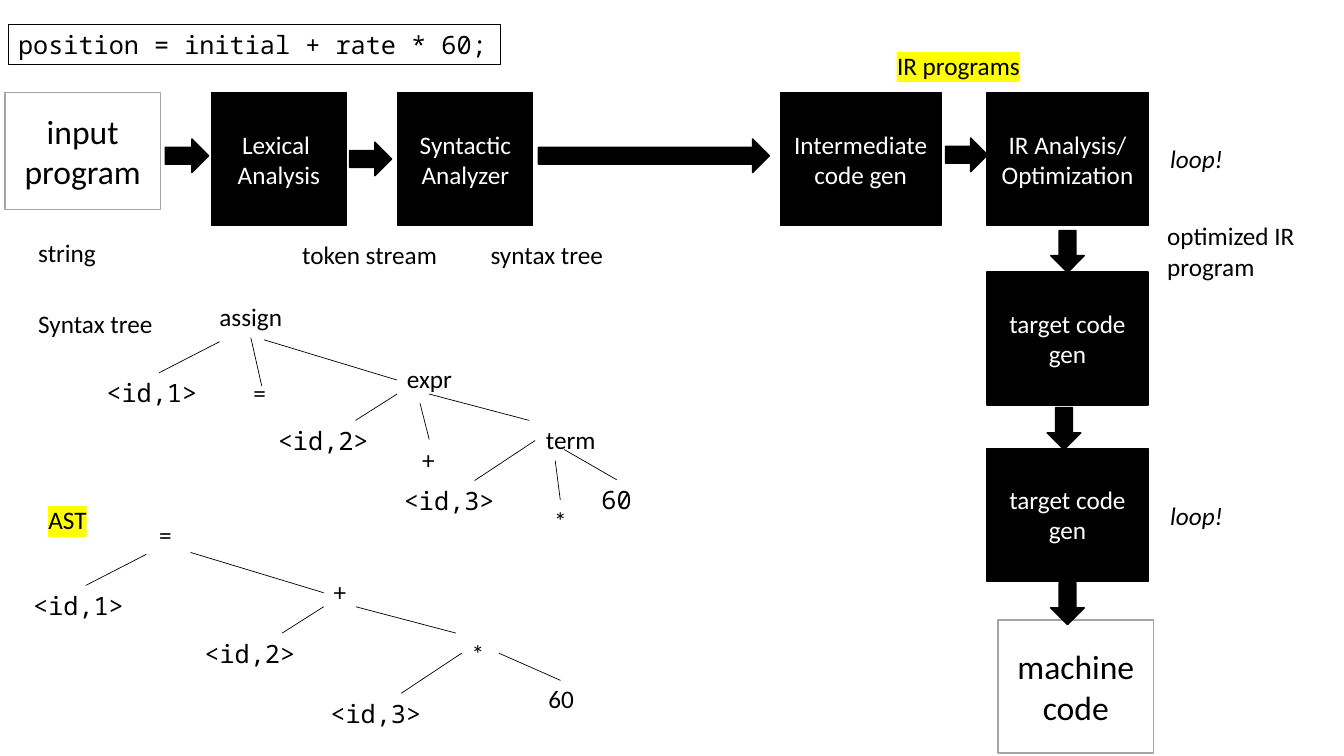
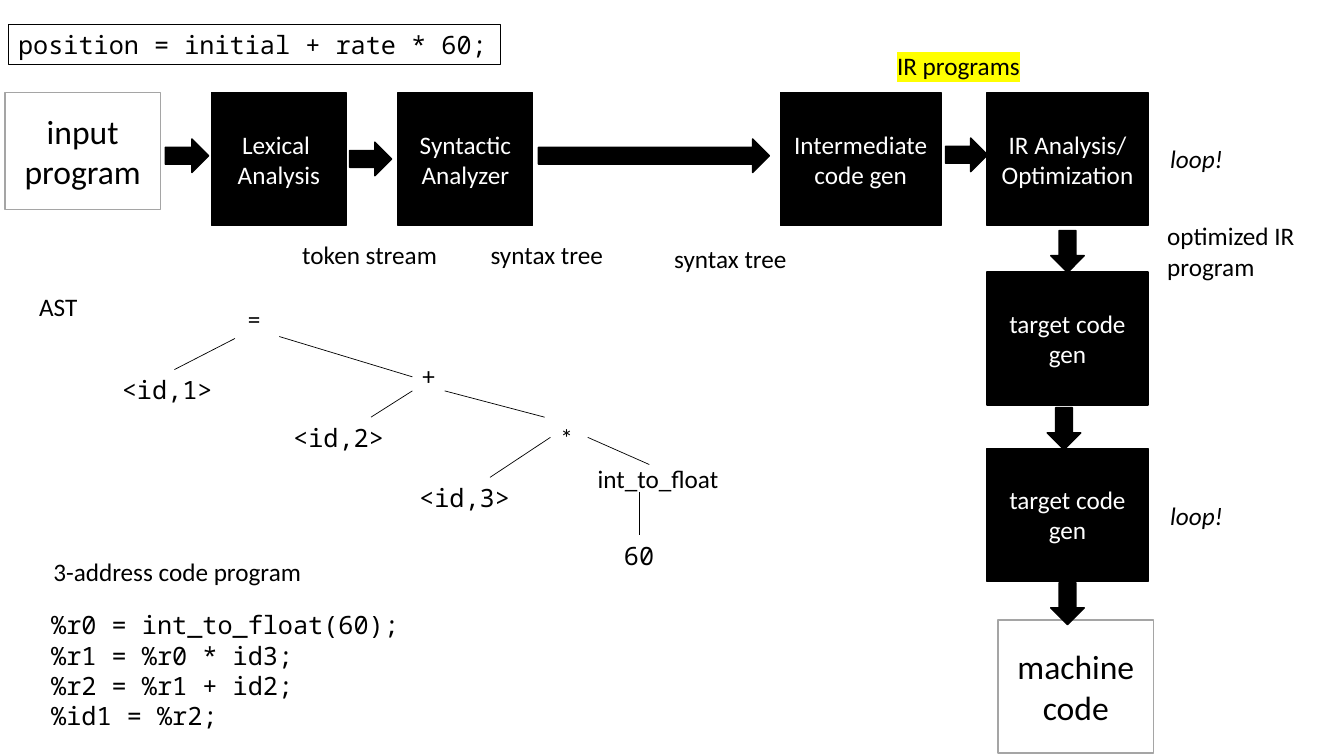
from lxml.etree import SubElement
from pptx import Presentation
from pptx.dml.color import RGBColor
from pptx.enum.shapes import MSO_CONNECTOR as Connector, MSO_SHAPE as Preset
from pptx.enum.text import MSO_ANCHOR as Anchor, MSO_AUTO_SIZE as AutoSize, PP_ALIGN as Align
from pptx.oxml.ns import qn
from pptx.util import Pt

BLACK, WHITE, GREY, YELLOW = "000000", "FFFFFF", "A5A5A5", "FFFF00"
SANS, MONO = "Calibri", "Noto Sans Mono"
LINE_HEIGHT = 22
ROW_LEFT, COLUMN_LEFT, FLOW_TOP = 3.6, 705, 66.2
STAGE_HEIGHT = 95

OPERANDS = [("<id,1>", -90, 51), ("<id,2>", 32.4, 85), ("<id,3>", 122.4, 128)]
OPERATORS = [("=", 0, 0), ("+", 124.6, 41), ("*", 223.2, 85)]
BRANCHES = [
    (-2.2, 28.8, -45.4, 51),
    (29.5, 27.4, 124.6, 56.2),
    (124.6, 66.2, 95, 85),
    (147.6, 66.2, 219, 85),
    (223.2, 99.4, 180, 128),
]


def colour(code):
    """Turn a hex string into a colour."""
    return RGBColor.from_string(code)


def style_text(box, size=18, ink=BLACK, font=SANS, italic=None, align=None):
    """Set one font on every paragraph of a box."""
    for para in box.text_frame.paragraphs:
        para.alignment = align
        para.font.size = Pt(size)
        para.font.name = font
        para.font.italic = italic
        para.font.color.rgb = colour(ink)


def add_label(page, text, left, top, width, font=SANS, italic=None, highlight=None):
    """Add an unwrapped text box that fits its lines."""
    height = LINE_HEIGHT * (text.count("\n") + 1) + 7
    box = page.shapes.add_textbox(Pt(left), Pt(top), Pt(width), Pt(height))
    frame = box.text_frame
    frame.word_wrap = False
    frame.auto_size = AutoSize.SHAPE_TO_FIT_TEXT
    frame.text = text
    style_text(box, font=font, italic=italic)
    if highlight:
        properties = frame.paragraphs[0].runs[0].font._element
        mark = SubElement(properties, qn("a:highlight"))
        SubElement(mark, qn("a:srgbClr"), val=highlight)
    return box


def add_solid(page, preset, left, top, width, height, fill=BLACK, border=BLACK):
    """Add a filled, outlined shape without a shadow."""
    shape = page.shapes.add_shape(preset, Pt(left), Pt(top), Pt(width), Pt(height))
    shape.shadow.inherit = False
    shape.fill.solid()
    shape.fill.fore_color.rgb = colour(fill)
    shape.line.color.rgb = colour(border)
    shape.line.width = Pt(1)
    return shape


def add_block(page, text, left, top, width, height=STAGE_HEIGHT, fill=BLACK, border=BLACK,
              size=18, ink=WHITE):
    """Add a rectangle with centred text."""
    block = add_solid(page, Preset.RECTANGLE, left, top, width, height, fill, border)
    block.text_frame.word_wrap = True
    block.text_frame.vertical_anchor = Anchor.MIDDLE
    block.text_frame.paragraphs[0].text = text
    style_text(block, size, ink, align=Align.CENTER)


def add_endpoint(page, text, left, top, height):
    """Add a white block for the program entering or leaving."""
    add_block(page, text, left, top, 111, height, WHITE, GREY, 24, BLACK)


def add_arrow(page, left, top, width=30, rotation=0):
    """Add a black block arrow."""
    arrow = add_solid(page, Preset.RIGHT_ARROW, left, top, width, 24)
    arrow.rotation = rotation


def add_branch(page, start_x, start_y, end_x, end_y):
    """Add a thin line between two tree nodes."""
    branch = page.shapes.add_connector(
        Connector.STRAIGHT, Pt(start_x), Pt(start_y), Pt(end_x), Pt(end_y))
    branch.line.color.rgb = colour(BLACK)
    branch.line.width = Pt(0.5)
    SubElement(branch._element.spPr, qn("a:effectLst"))


def draw_front_end(page, left, top):
    """Draw the row from input program to intermediate code."""
    add_endpoint(page, "input program", left, top, 83.5)
    for text, x, width in [("Lexical \vAnalysis", 147.6, 96), ("Syntactic Analyzer", 280.8, 96),
                           ("Intermediate code gen", 553.7, 115)]:
        add_block(page, text, left + x, top, width)
    for x, y, width in [(114.5, 33, 31), (246.2, 35.3, 30), (381, 33, 165), (671.8, 32.4, 30)]:
        add_arrow(page, left + x, top + y, width)
    add_label(page, "token stream", left + 205.2, top + 101, 111.6)
    add_label(page, "syntax tree", left + 339.8, top + 101, 95.8)


def draw_back_end(page, left, top):
    """Draw the column from optimization to machine code."""
    for text, y in [("IR Analysis/ Optimization", 0), ("target code gen", 128),
                    ("target code gen", 254)]:
        add_block(page, text, left, top + y, 115)
    add_endpoint(page, "machine code", left + 8, top + 376.6, STAGE_HEIGHT)
    for x, y in [(42.5, 101.5), (40, 228), (42.5, 353)]:
        add_arrow(page, left + x, top + y, rotation=90)
    for y in (32.4, 287.3):
        add_label(page, "loop!", left + 123.8, top + y, 53.3, italic=True)
    add_label(page, "IR programs", left - 71.3, top - 33.8, 103, highlight=YELLOW)
    add_label(page, "optimized IR\nprogram", left + 121.7, top + 87.8, 111)


def draw_tree(page, left, top, nodes, leaves, branches):
    """Draw the shared tree skeleton with its own nodes and branches."""
    for text, x, y in nodes:
        add_label(page, text, left + x, top + y, 16 + 9 * len(text))
    for text, x, y in OPERANDS + leaves:
        add_label(page, text, left + x, top + y, 16 + 12 * len(text), MONO)
    for start_x, start_y, end_x, end_y in BRANCHES + branches:
        add_branch(page, left + start_x, top + start_y, left + end_x, top + end_y)


def draw_syntax_tree(page, left, top):
    """Draw the full syntax tree of the statement."""
    nodes = [("assign", -9.4, -3.6), ("expr", 124.6, 41), ("term", 223.9, 84.2),
             ("=", 15, 51), ("+", 135.4, 98.6), ("*", 229.7, 141.8)]
    branches = [(20.2, 25.9, 28, 60.5), (141, 72.7, 147.6, 98.6),
                (237.6, 113.8, 241.2, 141.8), (244, 105.8, 281.5, 127.4)]
    draw_tree(page, left, top, nodes, [("60", 263.5, 127.4)], branches)


def draw_ast(page, left, top, converted=False):
    """Draw the abstract tree, optionally with the type conversion."""
    branches = [(249.8, 99.4, 293.8, 118.8)]
    if converted:
        add_label(page, "int_to_float", left + 249.8, top + 114.5, 101.5)
        branches.append((286.6, 138.2, 286.6, 169.2))
        draw_tree(page, left, top, OPERATORS, [("60", 268.6, 169.2)], branches)
    else:
        draw_tree(page, left, top, OPERATORS + [("60", 278, 117.4)], [], branches)


def add_compiler_page(deck):
    """Add a page with the statement and the compiler stages."""
    page = deck.slides.add_slide(deck.slide_layouts[6])
    statement = add_label(page, "position = initial + rate * 60;", 5.8, 17.3, 351.4, MONO)
    statement.line.color.rgb = colour(BLACK)
    statement.line.width = Pt(0.75)
    draw_front_end(page, ROW_LEFT, FLOW_TOP)
    draw_back_end(page, COLUMN_LEFT, FLOW_TOP)
    return page


def add_tree_page(deck):
    """Add the page that compares the syntax tree with the AST."""
    page = add_compiler_page(deck)
    add_label(page, "string", 20.2, 165.6, 56)
    add_label(page, "Syntax tree", 20.2, 216.7, 97)
    draw_syntax_tree(page, 159, 215.3)
    add_label(page, "AST", 27.4, 357, 41.8, highlight=YELLOW)
    draw_ast(page, 106.6, 367.2)


def add_code_page(deck):
    """Add the page that turns the AST into three-address code."""
    page = add_compiler_page(deck)
    add_label(page, "syntax tree", 474.5, 170.6, 95.8)
    add_label(page, "AST", 20.9, 204.5, 41.8)
    draw_ast(page, 170, 213, converted=True)
    add_label(page, "3-address code program", 31, 393.8, 192.2)
    code = "%r0 = int_to_float(60);\n%r1 = %r0 * id3;\n%r2 = %r1 + id2;\n%id1 = %r2;"
    add_label(page, code, 29.5, 432, 264.2, MONO)


def main():
    """Build and save the deck."""
    deck = Presentation()
    deck.slide_width, deck.slide_height = Pt(960), Pt(540)
    add_tree_page(deck)
    add_code_page(deck)
    deck.save("out.pptx")


if __name__ == "__main__":
    main()
